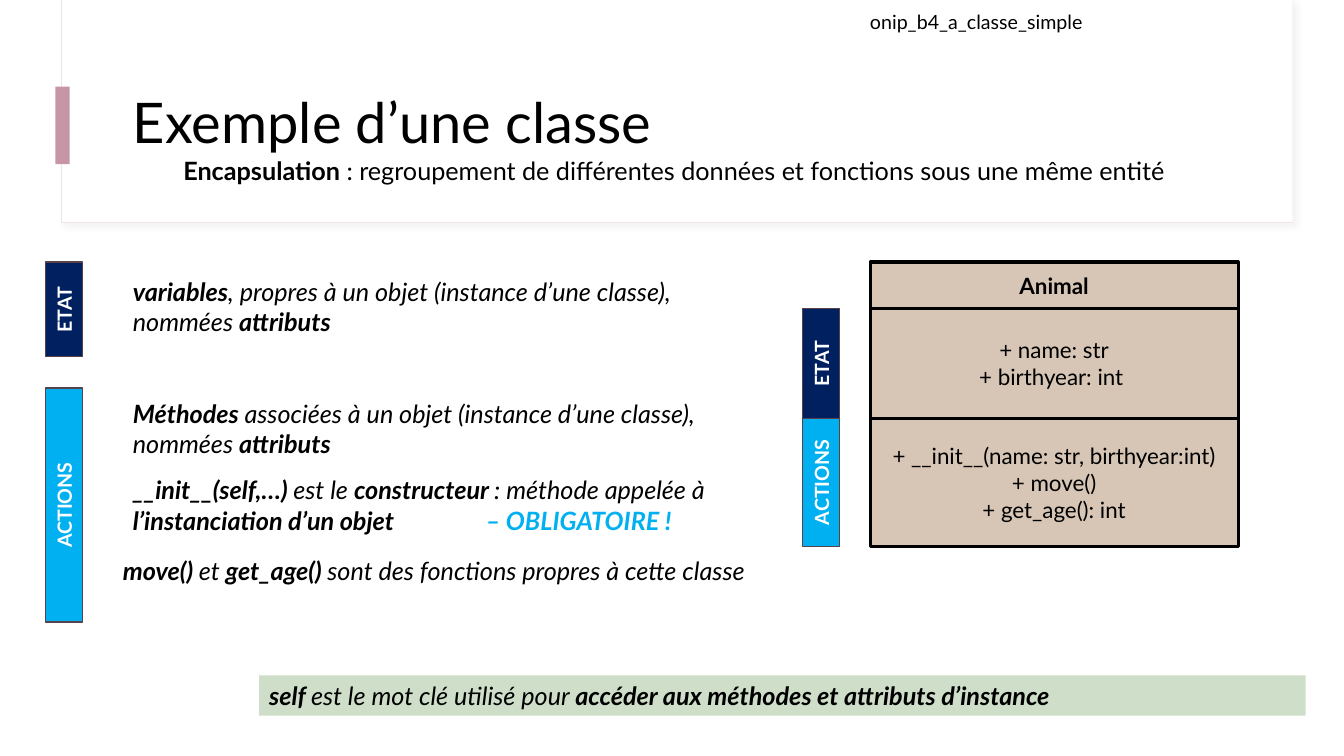
from lxml import etree
from pptx import Presentation
from pptx.dml.color import RGBColor
from pptx.enum.shapes import MSO_SHAPE
from pptx.enum.text import MSO_ANCHOR, MSO_AUTO_SIZE, PP_ALIGN
from pptx.oxml import parse_xml
from pptx.util import Pt

RECT = MSO_SHAPE.RECTANGLE
TOP, MIDDLE = MSO_ANCHOR.TOP, MSO_ANCHOR.MIDDLE
GROW, FIXED = MSO_AUTO_SIZE.SHAPE_TO_FIT_TEXT, MSO_AUTO_SIZE.NONE
LEFT, CENTER = PP_ALIGN.LEFT, PP_ALIGN.CENTER
BLACK = RGBColor(0x00, 0x00, 0x00)
WHITE = RGBColor(0xFF, 0xFF, 0xFF)
FRAME = RGBColor(0xF0, 0xE5, 0xE5)
ROSE = RGBColor(0xC6, 0x96, 0xA7)
GREEN = RGBColor(0xCE, 0xDE, 0xC8)
SAND = RGBColor(0xD7, 0xC5, 0xB5)
BROWN = RGBColor(0x57, 0x42, 0x49)
NAVY = RGBColor(0x00, 0x20, 0x60)
SKY = RGBColor(0x00, 0xB0, 0xF0)
PX = 9144
NS = "http://schemas.openxmlformats.org/drawingml/2006/main"

deck = Presentation()
deck.slide_width, deck.slide_height = 1333 * PX, 750 * PX
slide = deck.slides.add_slide(deck.slide_layouts[6])


def add_box(at, fill=None, line=None, width=1):
    place = [n * PX for n in at]
    if fill is None:
        return slide.shapes.add_textbox(*place)
    box = slide.shapes.add_shape(RECT, *place)
    box.shadow.inherit = False
    box.fill.solid()
    box.fill.fore_color.rgb = fill
    if line is None:
        box.line.fill.background()
    else:
        box.line.color.rgb = line
        box.line.width = Pt(width)
    return box


def write(box, lines, size, color=BLACK, italic=False, align=LEFT, **look):
    frame = box.text_frame
    form = {"word_wrap": True, "vertical_anchor": TOP, "auto_size": FIXED}
    for key, value in (form | look).items():
        setattr(frame, key, value)
    for i, line in enumerate(lines):
        para = frame.add_paragraph() if i else frame.paragraphs[0]
        para.alignment = align
        for j, part in enumerate(line.split("*")):
            if not part:
                continue
            run = para.add_run()
            run.text = part
            font = {"name": "Lato", "size": Pt(size), "bold": j % 2 == 1, "italic": italic}
            for key, value in font.items():
                setattr(run.font, key, value)
            run.font.color.rgb = SKY if part.startswith("–") else color


panel = add_box((61, 0, 1221, 221), WHITE, FRAME, 0.75)
glow = panel._element.spPr.find(f"{{{NS}}}effectLst")
glow.append(parse_xml(
    f'<a:outerShdw xmlns:a="{NS}" blurRad="50800" dist="38100" dir="2700000" algn="tl">'
    '<a:srgbClr val="D9D9D9"><a:alpha val="30000"/></a:srgbClr></a:outerShdw>'))
add_box((62, 0, 1220, 220), WHITE)
add_box((55, 86, 14, 77), ROSE)

title = add_box((122, 60, 1112, 129))
write(title, ["Exemple d’une classe"], 40, vertical_anchor=MIDDLE)
title.text_frame.paragraphs[0].line_spacing = 0.9

notes = [
    ((172, 149, 1086, 40), None, 18, False,
     "*Encapsulation* : regroupement de différentes données et fonctions sous une même entité"),
    ((257, 670, 1038, 40), GREEN, 18, True,
     "*self *est le mot clé utilisé pour *accéder aux méthodes et attributs d’instance*"),
    ((853, 5, 402, 34), None, 14, False, "onip_b4_a_classe_simple"),
    ((122, 269, 654, 71), None, 18, True,
     "*variables*, propres à un objet (instance d’une classe), nommées *attributs*"),
    ((122, 390, 654, 71), None, 18, True,
     "*Méthodes *associées à un objet (instance d’une classe), nommées *attributs*"),
    ((112, 546, 654, 71), None, 18, True,
     "*move() *et *get_age() *sont des fonctions propres à cette classe"),
]
for at, fill, size, slant, text in notes:
    write(add_box(at, fill), [text], size, italic=slant, auto_size=GROW)

build = add_box((122, 466, 654, 71))
props = build.text_frame.paragraphs[0]._p.get_or_add_pPr()
tabs = etree.SubElement(props, f"{{{NS}}}tabLst")
for stop in (300, 350):
    etree.SubElement(tabs, f"{{{NS}}}tab", pos=str(stop * PX), algn="l")
write(build, ["*__init__(self,…) *est le *constructeur *: méthode appelée à "
              "*l’instanciation d’un objet \t\t**– OBLIGATOIRE !*"],
      18, italic=True, auto_size=GROW)

cells = [
    (260, 47, ["*Animal*"]),
    (306, 109, ["+ name: str", "+ birthyear: int "]),
    (415, 127, ["+ __init__(name: str, birthyear:int)", "+ move()", "+ get_age(): int"]),
]
for top, high, lines in cells:
    cell = add_box((863, top, 365, high), SAND, BLACK, 2.25)
    write(cell, lines, 16, align=CENTER, vertical_anchor=MIDDLE)

tags = [
    (796, 415, 127, "*ACTIONS*", SKY),
    (796, 306, 109, "*ETAT*", NAVY),
    (45, 385, 232, "*ACTIONS*", SKY),
    (45, 260, 94, "*ETAT*", NAVY),
]
for left, top, high, text, fill in tags:
    tag = add_box((left, top, 37, high), fill, BROWN)
    write(tag, [text], 14, WHITE, align=CENTER, vertical_anchor=MIDDLE)
    tag.text_frame._txBody.bodyPr.set("vert", "vert270")

deck.save("out.pptx")
